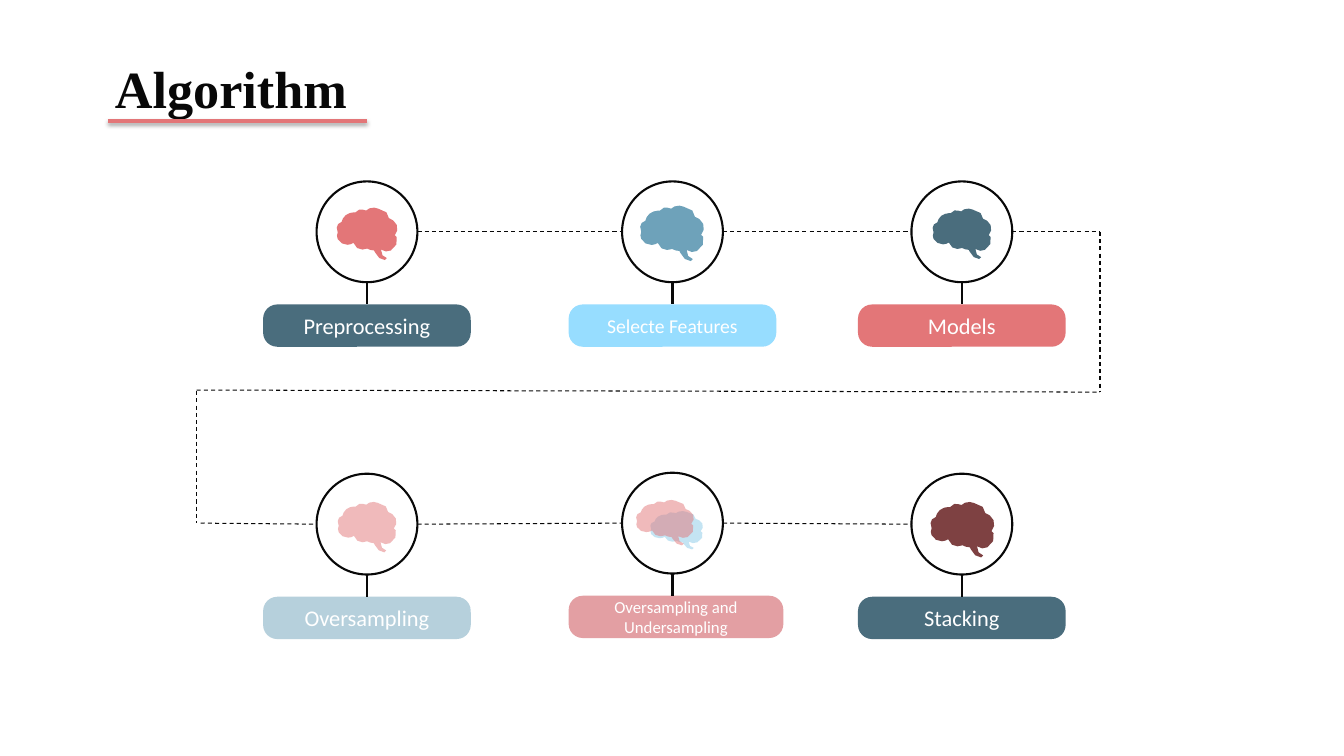
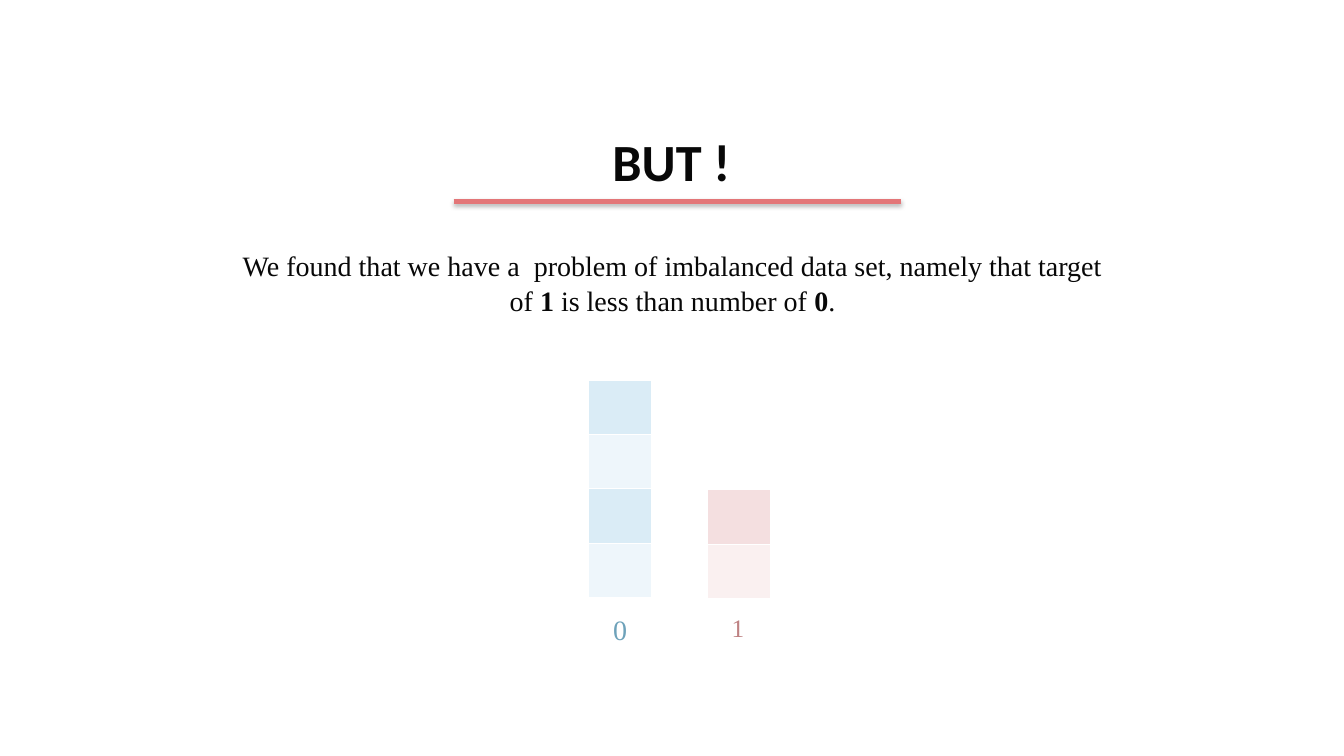
import pptx
import pptx.dml.color
import pptx.enum.dml
import pptx.enum.shapes
import pptx.enum.text
import pptx.oxml
import pptx.oxml.ns
import pptx.util

EMU_PER_PX = 9144
INK, WHITE, CORAL, SLATE, STEEL = "080808", "FFFFFF", "E37678", "4A6D7D", "6EA2BA"
SANS, SERIF = "Calibri", "Times New Roman"
SHAPE = pptx.enum.shapes.MSO_SHAPE
ANCHOR = pptx.enum.text.MSO_ANCHOR
ALIGN = pptx.enum.text.PP_ALIGN

BRAIN_START = (39, 0)
BRAIN_CURVES = [
    (35, 0, 33, 1, 31, 3), (29, 2, 26, 2, 24, 2), (22, 3, 21, 4, 20, 5),
    (19, 5, 18, 5, 18, 5), (15, 5, 13, 6, 10, 8), (8, 10, 6, 13, 6, 15),
    (3, 16, 1, 18, 1, 21), (0, 23, 1, 25, 2, 26), (1, 28, 1, 31, 2, 33),
    (4, 37, 8, 39, 12, 39), (14, 39, 17, 38, 18, 37), (20, 42, 23, 44, 27, 44),
    (29, 44, 30, 44, 32, 43), (34, 44, 36, 45, 39, 45), (39, 46, 39, 46, 40, 47),
    (42, 52, 46, 55, 50, 55), (50, 55, 52, 53, 52, 53), (48, 52, 46, 49, 46, 44),
    (47, 45, 49, 46, 51, 46), (53, 46, 54, 45, 56, 45), (61, 42, 64, 36, 62, 31),
    (61, 30, 61, 29, 60, 29), (63, 26, 63, 22, 62, 18), (60, 14, 57, 12, 54, 11),
    (55, 7, 50, 2, 43, 1), (41, 0, 40, 0, 39, 0),
]

STEPS = [
    (364, 180, "Preprocessing", 16, SLATE, 100, 206, [(334, 206, 60, 52, CORAL, 100)]),
    (667, 180, "Selecte Features", 14, "97DDFF", 100, 206, [(635, 204, 63, 55, STEEL, 100)]),
    (954, 180, "Models", 16, CORAL, 100, 206, [(925, 207, 58, 50, SLATE, 100)]),
    (364, 470, "Oversampling", 16, STEEL, 50, 206, [(335, 498, 58, 50, CORAL, 50)]),
    (667, 469, "Oversampling and Undersampling", 12, "E39FA3", 100, 213,
     [(645, 507, 52, 38, "8BCBE8", 50), (631, 496, 57, 45, CORAL, 50)]),
    (954, 470, "Stacking", 16, SLATE, 100, 206, [(923, 498, 63, 55, "7E4142", 100)]),
]

ROUTE = [
    (414, 230, 617, 230), (717, 230, 904, 230), (1004, 230, 1091, 230),
    (1091, 230, 1091, 389), (195, 387, 1091, 389), (195, 388, 195, 519),
    (199, 519, 314, 520), (414, 520, 617, 519), (717, 519, 904, 520),
]


def px(n):
    return pptx.util.Emu(round(n * EMU_PER_PX))


def rgb(color):
    return pptx.dml.color.RGBColor.from_string(color)


def xml(markup):
    return pptx.oxml.parse_xml(markup.replace(">", f" {pptx.oxml.ns.nsdecls('a')}>", 1))


def place(sp, x, y, w, h):
    sp.left, sp.top, sp.width, sp.height = px(x), px(y), px(w), px(h)


def set_fill(sp, color, alpha=100):
    sp.fill.solid()
    sp.fill.fore_color.rgb = rgb(color)
    if alpha < 100:
        clr = sp.fill._xPr.find(".//" + pptx.oxml.ns.qn("a:srgbClr"))
        clr.append(xml(f'<a:alpha val="{alpha * 1000}"></a:alpha>'))


def set_font(r, size, color, name, bold=False):
    r.font.size = pptx.util.Pt(size)
    r.font.color.rgb = rgb(color)
    r.font.name = name
    r.font.bold = bold


def set_frame(tf, anchor, inset=None):
    tf.word_wrap = True
    tf.auto_size = pptx.enum.text.MSO_AUTO_SIZE.NONE
    tf.vertical_anchor = anchor
    if inset is not None:
        tf.margin_left = tf.margin_right = tf.margin_top = tf.margin_bottom = px(inset)


def add_line(slide, x1, y1, x2, y2, color=INK, width=1.5, dashed=False, shadow=False):
    cxn = slide.shapes.add_connector(
        pptx.enum.shapes.MSO_CONNECTOR.STRAIGHT, px(x1), px(y1), px(x2), px(y2))
    cxn.line.color.rgb = rgb(color)
    cxn.line.width = pptx.util.Pt(width)
    if dashed:
        cxn.line.dash_style = pptx.enum.dml.MSO_LINE.DASH
    effect = ('<a:outerShdw blurRad="39370" dist="22860" dir="5400000" rotWithShape="0">'
              '<a:srgbClr val="000000"><a:alpha val="35000"/></a:srgbClr></a:outerShdw>')
    cxn._element.spPr.append(xml(f"<a:effectLst>{effect if shadow else ''}</a:effectLst>"))
    return cxn


def add_title(slide, text, box, underline, font, align):
    sp = slide.shapes.title
    place(sp, *box)
    tf = sp.text_frame
    tf.text = text
    set_frame(tf, ANCHOR.BOTTOM, 13)
    p = tf.paragraphs[0]
    p.alignment = align
    set_font(p.runs[0], 37.3, INK, font, True)
    x1, x2, y = underline
    add_line(slide, x1, y, x2, y, CORAL, 3, shadow=True)


def add_brain(slide, x, y, w, h, color, alpha):
    x0, y0 = BRAIN_START
    builder = slide.shapes.build_freeform(px(x0), px(y0), 1.0)
    points = []
    for x1, y1, x2, y2, x3, y3 in BRAIN_CURVES:
        is_long = max(abs(x3 - x0), abs(y3 - y0)) > 5
        if is_long:
            points.append((px((x0 + 3 * x1 + 3 * x2 + x3) / 8),
                           px((y0 + 3 * y1 + 3 * y2 + y3) / 8)))
        points.append((px(x3), px(y3)))
        x0, y0 = x3, y3
    builder.add_line_segments(points, close=True)
    sp = builder.convert_to_shape()
    place(sp, x, y, w, h)
    sp.shadow.inherit = False
    set_fill(sp, color, alpha)
    sp.line.fill.background()


def add_step(slide, cx, top, text, size, color, alpha, width, brains):
    circle = slide.shapes.add_shape(SHAPE.OVAL, px(cx - 50), px(top), px(100), px(100))
    circle.shadow.inherit = False
    circle.fill.background()
    circle.line.color.rgb = rgb(INK)
    circle.line.width = pptx.util.Pt(1.5)

    label = slide.shapes.add_shape(
        SHAPE.ROUNDED_RECTANGLE, px(cx - 103), px(top + 122), px(width), px(42))
    label.adjustments[0] = 0.335
    label.shadow.inherit = False
    set_fill(label, color, alpha)
    label.line.fill.background()
    tf = label.text_frame
    tf.text = text
    set_frame(tf, ANCHOR.MIDDLE, 10)
    p = tf.paragraphs[0]
    p.alignment = ALIGN.CENTER
    set_font(p.runs[0], size, WHITE, SANS)

    stem = add_line(slide, cx, top + 100, cx, top + 122)
    if label.left + label.width // 2 == px(cx):
        stem.end_connect(label, 0)
    for brain in brains:
        add_brain(slide, *brain)


def add_body(slide, box, parts):
    sp = slide.placeholders[1]
    place(sp, *box)
    tf = sp.text_frame
    set_frame(tf, ANCHOR.BOTTOM, 13)
    p = tf.paragraphs[0]
    pPr = p._p.get_or_add_pPr()
    pPr.set("marL", "0")
    pPr.set("indent", "0")
    pPr.append(xml("<a:buNone></a:buNone>"))
    p.alignment = ALIGN.CENTER
    p.space_before = pptx.util.Pt(0)
    p.line_spacing = 1.06
    for text, bold in parts:
        r = p.add_run()
        r.text = text
        set_font(r, 20, INK, SERIF, bold)


def add_stack(slide, x, y, colors):
    w, h = 62, 54
    table = slide.shapes.add_table(len(colors), 1, px(x), px(y), px(w), px(h * len(colors))).table
    table.first_row = table.horz_banding = False
    for row, color in zip(table.rows, colors):
        row.height = px(h)
        cell = row.cells[0]
        tcPr = cell._tc.get_or_add_tcPr()
        for side in "LRTB":
            tcPr.append(xml(f'<a:ln{side} w="12700"><a:solidFill><a:srgbClr val="{WHITE}"/>'
                            f'</a:solidFill></a:ln{side}>'))
        set_fill(cell, color)


def add_caption(slide, text, box, size, color):
    x, y, w, h = box
    sp = slide.shapes.add_textbox(px(x), px(y), px(w), px(h))
    tf = sp.text_frame
    tf.text = text
    set_frame(tf, ANCHOR.TOP)
    p = tf.paragraphs[0]
    p.alignment = ALIGN.CENTER
    set_font(p.runs[0], size, color, SERIF)


def build_algorithm(prs):
    slide = prs.slides.add_slide(prs.slide_layouts[5])
    add_title(slide, "Algorithm", (101, 53, 868, 78), (107, 364, 120), SERIF, ALIGN.LEFT)
    for step in STEPS:
        add_step(slide, *step)
    for segment in ROUTE:
        add_line(slide, *segment, width=0.75, dashed=True)


def build_imbalance(prs):
    slide = prs.slides.add_slide(prs.slide_layouts[1])
    add_title(slide, "BUT !", (579, 125, 174, 78), (450, 894, 200), SANS, ALIGN.CENTER)
    add_body(slide, (215, 250, 904, 78), [
        ("We found that we have a  problem of imbalanced data set, namely that target of ", False),
        ("1", True), (" is less than number of ", False), ("0", True), (".", False)])
    add_stack(slide, 584, 377, ["DAECF6", "EEF6FB"] * 2)
    add_stack(slide, 702, 486, ["F4DFE0", "FAF0F0"])
    add_caption(slide, "0", (592, 603, 46, 44), 20, STEEL)
    add_caption(slide, "1", (714, 603, 36, 40), 18, "BE8182")


def main():
    prs = pptx.Presentation()
    prs.slide_width, prs.slide_height = px(1333), px(750)
    build_algorithm(prs)
    build_imbalance(prs)
    prs.save("out.pptx")


if __name__ == "__main__":
    main()
